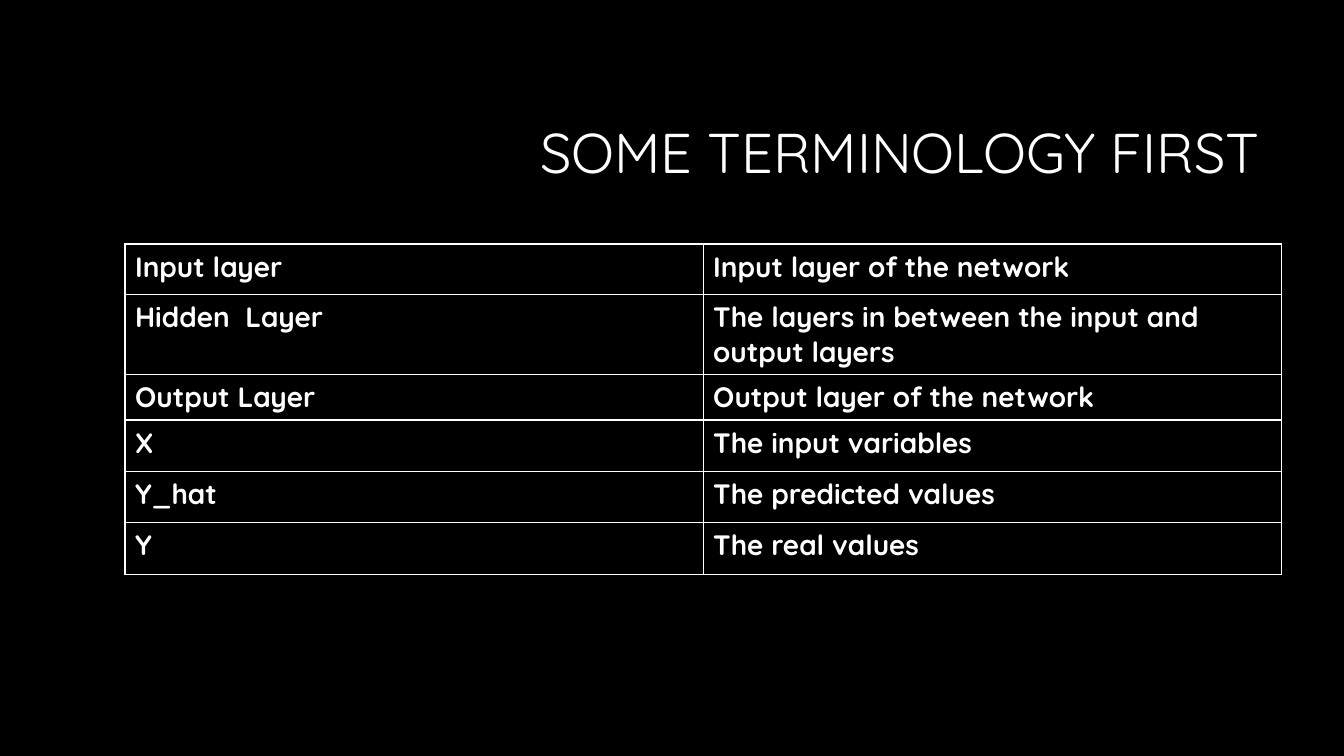
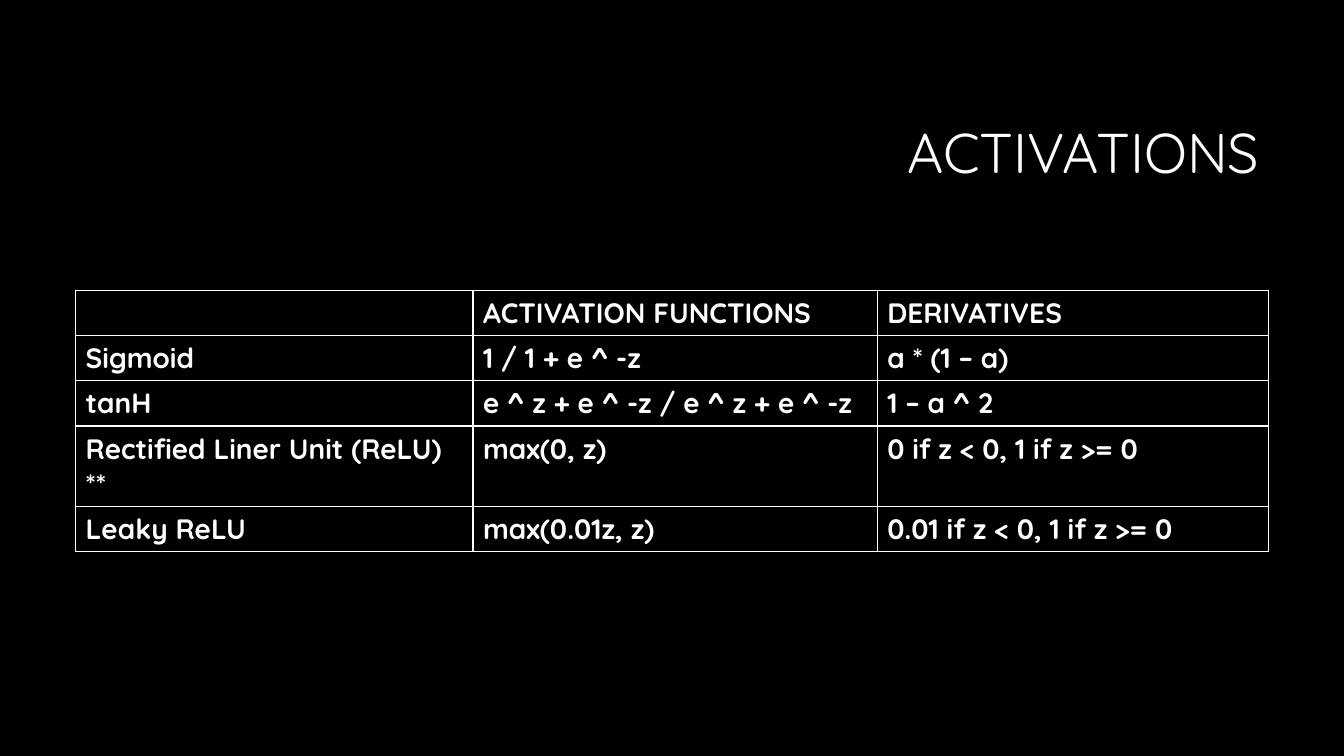
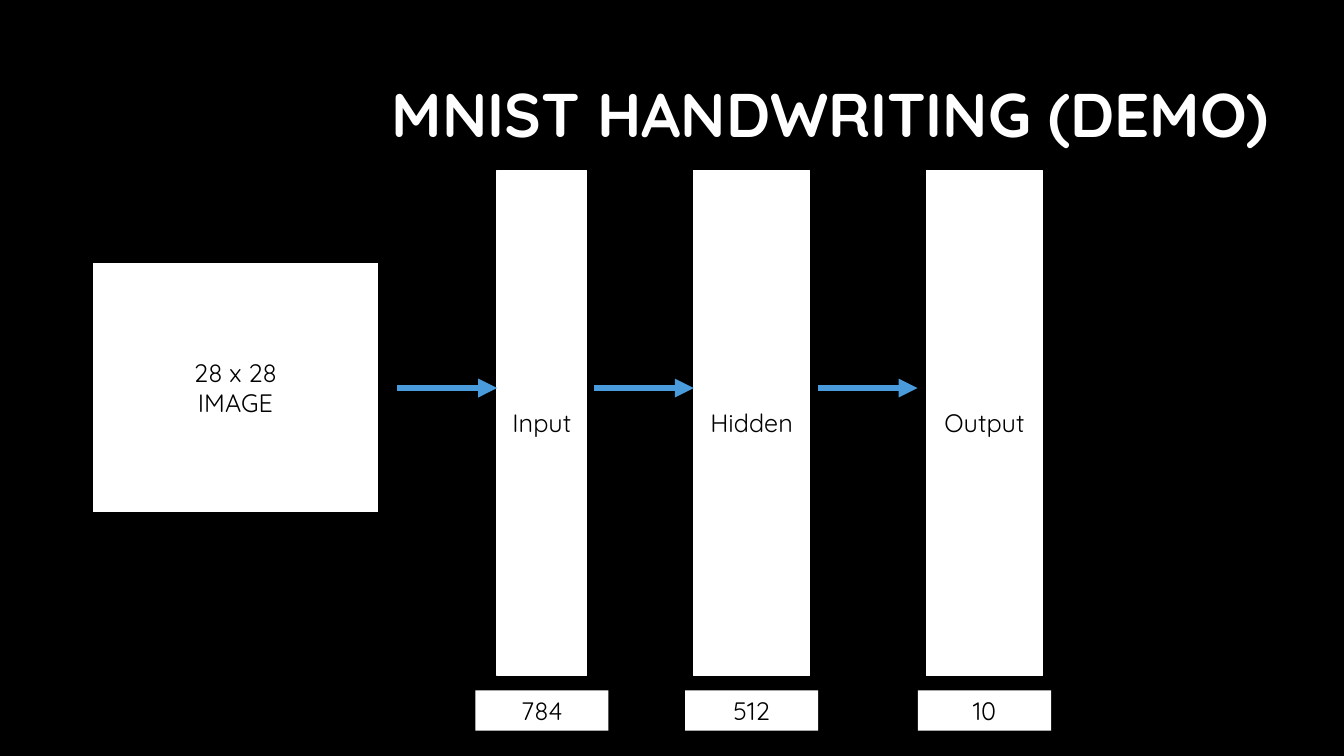
from lxml import etree
from pptx import Presentation
from pptx.dml.color import RGBColor
from pptx.enum.shapes import MSO_CONNECTOR, MSO_SHAPE
from pptx.enum.text import MSO_ANCHOR, MSO_AUTO_SIZE, PP_ALIGN
from pptx.oxml import parse_xml
from pptx.oxml.ns import nsdecls, qn
from pptx.util import Inches, Pt

RECTANGLE = MSO_SHAPE.RECTANGLE
STRAIGHT = MSO_CONNECTOR.STRAIGHT
MIDDLE = MSO_ANCHOR.MIDDLE
CENTER, RIGHT = PP_ALIGN.CENTER, PP_ALIGN.RIGHT
NO_AUTOFIT = MSO_AUTO_SIZE.NONE

FONT = "Quicksand"
BLACK, WHITE, BLUE = "000000", "FFFFFF", "4A9BDC"
TITLE_SIZE = (70.67, 18.8)

deck = Presentation()
deck.slide_width, deck.slide_height = Inches(13.33), Inches(7.5)


def place(left, top, width, height):
    """Turn percentages of the slide's width and height into lengths."""
    across, down = deck.slide_width / 100, deck.slide_height / 100
    return (round(left * across), round(top * down),
            round(width * across), round(height * down))


def style(text_frame, size, color, bold=False):
    for para in text_frame.paragraphs:
        for span in para.runs:
            span.font.name = FONT
            span.font.size = Pt(size)
            span.font.bold = bold
            span.font.color.rgb = RGBColor.from_string(color)


background = deck.slide_master.background.fill
background.solid()
background.fore_color.rgb = RGBColor.from_string(BLACK)

# Titles: text, left, top, alignment, size, bold
titles = [
    ("SOME TERMINOLOGY FIRST", 23.78, 11.2, RIGHT, 40, False),
    ("ACTIVATIONS", 23.78, 11.2, RIGHT, 40, False),
    ("MNIST HANDWRITING (DEMO)", 26.48, 6.13, CENTER, 44, True),
]
slides = []
for text, left, top, alignment, size, bold in titles:
    slide = deck.slides.add_slide(deck.slide_layouts[5])
    title = slide.shapes.title
    title.left, title.top, title.width, title.height = place(left, top, *TITLE_SIZE)
    frame = title.text_frame
    frame.text = text
    frame.word_wrap = True
    frame.auto_size = NO_AUTOFIT
    frame.vertical_anchor = MIDDLE
    frame.paragraphs[0].alignment = alignment
    frame.paragraphs[0].line_spacing = 0.9
    style(frame, size, WHITE, bold)
    slides.append(slide)
terminology, activations, demo = slides

# Tables: slide, left, top, column widths, row heights, rows
tables = [
    (terminology, 9.3, 32.27, [43.02] * 2, [6.67, 8.13, 4, 6.8, 6.8, 6.8], [
        ("Input layer", "Input layer of the network"),
        ("Hidden  Layer", "The layers in between the input and output layers"),
        ("Output Layer", "Output layer of the network"),
        ("X", "The input variables"),
        ("Y_hat", "The predicted values"),
        ("Y", "The real values"),
    ]),
    (activations, 5.63, 38.4, [29.56, 30.08, 29.11], [5.47] * 5, [
        ("", "ACTIVATION FUNCTIONS", "DERIVATIVES"),
        ("Sigmoid", "1 / 1 + e ^ -z", "a * (1 – a)"),
        ("tanH", "e ^ z + e ^ -z / e ^ z + e ^ -z", "1 – a ^ 2"),
        ("Rectified Liner Unit (ReLU) **", "max(0, z)", "0 if z < 0, 1 if z >= 0"),
        ("Leaky ReLU", "max(0.01z, z)", "0.01 if z < 0, 1 if z >= 0"),
    ]),
]
for slide, left, top, widths, heights, rows in tables:
    area = place(left, top, sum(widths), sum(heights))
    table = slide.shapes.add_table(len(rows), len(widths), *area).table
    table.first_row = table.horz_banding = False
    for column, width in zip(table.columns, widths):
        column.width = place(0, 0, width, 0)[2]
    for row, height, texts in zip(table.rows, heights, rows):
        row.height = place(0, 0, 0, height)[3]
        for cell, text in zip(row.cells, texts):
            cell.text = text
            style(cell.text_frame, 20, WHITE, bold=True)
            properties = cell._tc.get_or_add_tcPr()
            for side in ("lnL", "lnR", "lnT", "lnB"):
                properties.append(parse_xml(
                    f'<a:{side} {nsdecls("a")} w="{Pt(1)}"><a:solidFill>'
                    f'<a:srgbClr val="{WHITE}"/></a:solidFill></a:{side}>'))
            cell.fill.solid()
            cell.fill.fore_color.rgb = RGBColor.from_string(BLACK)

# Network diagram: boxes hold text, area and line colour
boxes = [("28 x 28\nIMAGE", (6.83, 34.67, 21.38, 33.2), BLACK)]
layers = [
    ("Input", "784", 36.98, 6.68),
    ("Hidden", "512", 51.61, 8.63),
    ("Output", "10", 68.94, 8.63),
]
count_width = 9.9
for name, count, left, width in layers:
    count_left = left + (width - count_width) / 2
    boxes.append((name, (left, 22.53, width, 66.8), WHITE))
    boxes.append((count, (count_left, 91.33, count_width, 5.33), None))

for text, area, edge in boxes:
    box = demo.shapes.add_shape(RECTANGLE, *place(*area))
    box.shadow.inherit = False
    box.fill.solid()
    box.fill.fore_color.rgb = RGBColor.from_string(WHITE)
    if edge:
        box.line.color.rgb = RGBColor.from_string(edge)
        box.line.width = Pt(1)
    else:
        box.line.fill.background()
    frame = box.text_frame
    frame.text = text
    frame.word_wrap = True
    frame.vertical_anchor = MIDDLE
    for para in frame.paragraphs:
        para.alignment = CENTER
    style(frame, 18, BLACK)

for arrow_left in (29.56, 44.19, 60.84):
    left, top, length, _ = place(arrow_left, 51.33, 7.43, 0)
    arrow = demo.shapes.add_connector(STRAIGHT, left, top, left + length, top)
    arrow.line.color.rgb = RGBColor.from_string(BLUE)
    arrow.line.width = Pt(4.5)
    etree.SubElement(arrow.line._get_or_add_ln(), qn("a:tailEnd"), type="triangle")
    etree.SubElement(arrow._element.spPr, qn("a:effectLst"))

deck.save("out.pptx")
